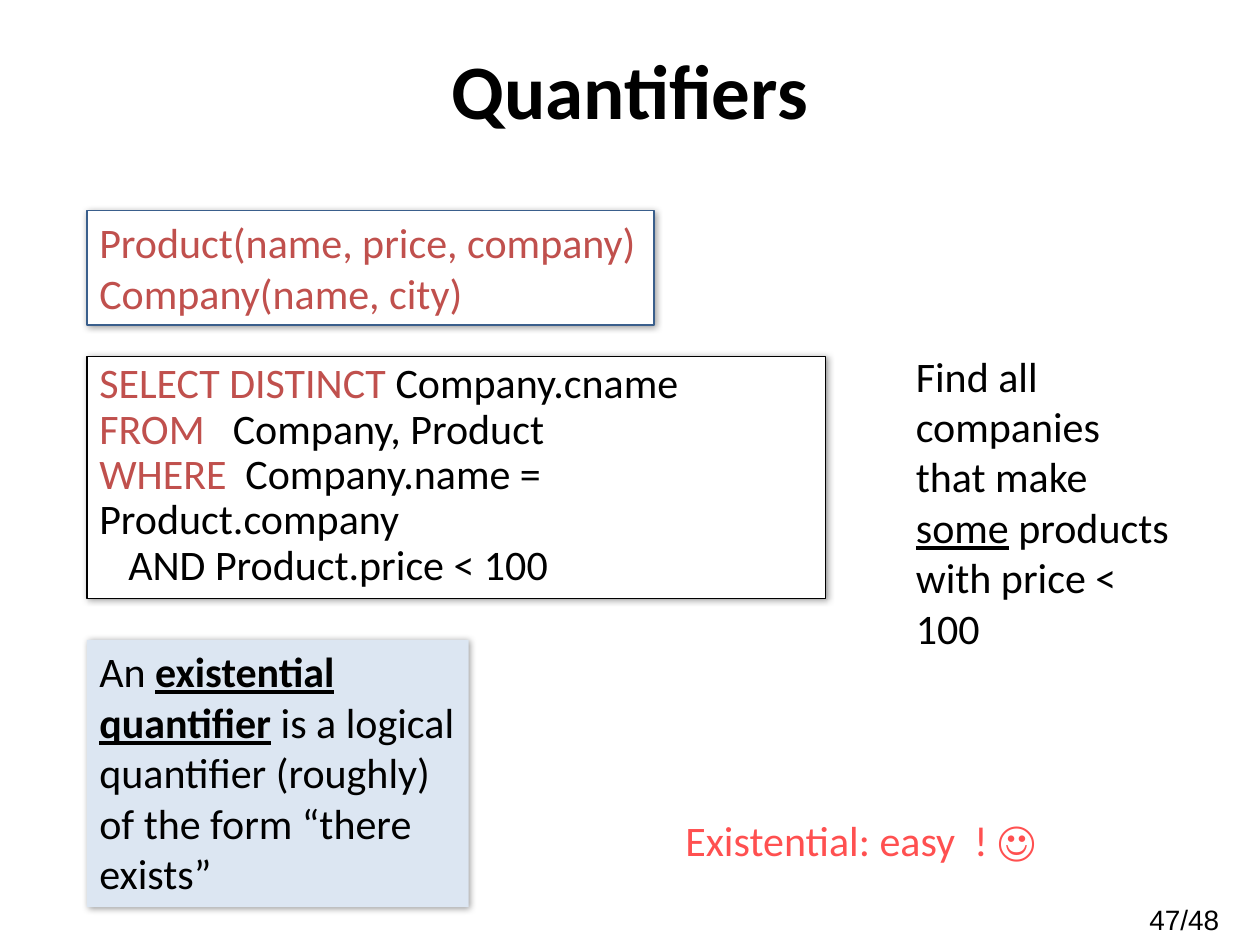
from dataclasses import dataclass
from typing import Optional

from lxml.etree import SubElement
from pptx import Presentation
from pptx.dml.color import RGBColor
from pptx.enum.shapes import MSO_SHAPE as Shape
from pptx.enum.text import MSO_ANCHOR as Anchor, MSO_AUTO_SIZE as AutoSize, PP_ALIGN as Align
from pptx.oxml.ns import qn
from pptx.util import Inches, Pt

WIDTH, HEIGHT = 10, 7.5
LEFT = 0.069
BLACK, WHITE, RED, CORAL = "000000", "FFFFFF", "C0504D", "FF5050"
BLUE, PALE = "3A5F8C", "DCE6F2"


@dataclass
class Span:
    text: str
    color: str = BLACK
    bold: bool = False
    underline: bool = False


@dataclass
class Line:
    spans: list[Span]
    tab: float = 0
    indent: float = 0


@dataclass
class Block:
    x: float
    y: float
    w: float
    h: float
    lines: list[Line]
    fill: Optional[str] = None
    border: Optional[str] = None
    wrap: bool = True
    spacing: float = 1
    font: str = "Calibri"
    size: int = 24
    align: Align = Align.LEFT
    grow: bool = True


def rgb(color: str) -> RGBColor:
    return RGBColor.from_string(color)


def place(sp, x: float, y: float, w: float, h: float) -> None:
    sp.left, sp.width = Inches(x * WIDTH), Inches(w * WIDTH)
    sp.top, sp.height = Inches(y * HEIGHT), Inches(h * HEIGHT)


def format_run(r, font: str, size: int, span: Span) -> None:
    r.font.name, r.font.size = font, Pt(size)
    r.font.bold, r.font.underline = span.bold, span.underline
    r.font.color.rgb = rgb(span.color)


def add_shadow(sp) -> None:
    effects = SubElement(sp._element.spPr, qn("a:effectLst"))
    shadow = SubElement(effects, qn("a:outerShdw"), blurRad=str(Pt(4)),
                        dist=str(Pt(1)), dir=str(45 * 60000), rotWithShape="0")
    color = SubElement(shadow, qn("a:srgbClr"), val=BLACK)
    SubElement(color, qn("a:alpha"), val="40000")


def add_line(p, line: Line, block: Block) -> None:
    p.alignment, p.line_spacing = block.align, block.spacing
    pPr = p._p.get_or_add_pPr()
    if line.indent:
        pPr.set("marL", str(Inches(line.indent)))
        pPr.set("indent", "0")
    if line.tab:
        tabs = SubElement(pPr, qn("a:tabLst"))
        SubElement(tabs, qn("a:tab"), pos=str(Inches(line.tab)), algn="l")
    for span in line.spans:
        r = p.add_run()
        r.text = span.text
        format_run(r, block.font, block.size, span)


def add_block(s, block: Block) -> None:
    if block.fill:
        sp = s.shapes.add_shape(Shape.RECTANGLE, 0, 0, 0, 0)
        sp.fill.solid()
        sp.fill.fore_color.rgb = rgb(block.fill)
        if block.border:
            sp.line.color.rgb = rgb(block.border)
            sp.line.width = Pt(0.75)
        else:
            sp.line.fill.background()
        add_shadow(sp)
    else:
        sp = s.shapes.add_textbox(0, 0, 0, 0)
    place(sp, block.x, block.y, block.w, block.h)
    tf = sp.text_frame
    tf.word_wrap = block.wrap
    tf.auto_size = AutoSize.SHAPE_TO_FIT_TEXT if block.grow else AutoSize.NONE
    tf.vertical_anchor = Anchor.TOP
    for i, line in enumerate(block.lines):
        add_line(tf.add_paragraph() if i else tf.paragraphs[0], line, block)


def add_title(s, text: str) -> None:
    sp = s.shapes.title
    place(sp, 0.05, 0.01, 0.9, 0.167)
    tf = sp.text_frame
    tf.text = text
    tf.vertical_anchor = Anchor.MIDDLE
    p = tf.paragraphs[0]
    p.alignment = Align.CENTER
    format_run(p.runs[0], "Calibri", 44, Span(text, bold=True))


SCHEMA = [Line([Span("Product(name, price, company)", RED)]),
          Line([Span("Company(name, city)", RED)])]
QUESTION = [Line([Span("Find all companies that make "), Span("some", underline=True),
                  Span(" products with price < 100")])]
QUERY = [Line([Span("SELECT DISTINCT ", RED), Span("Company.cname")]),
         Line([Span("FROM", RED), Span("\tCompany, Product")], tab=1.06),
         Line([Span("WHERE", RED), Span("\tCompany.name = Product.company")], tab=1.16),
         Line([Span("AND Product.price < 100")], indent=0.23)]
VERDICT = [Line([Span("Existential: easy  ! ☺", CORAL)])]
DEFINITION = [Line([Span("An "), Span("existential quantifier", bold=True, underline=True),
                    Span(" is a logical quantifier (roughly) of the form “there exists”")])]

BLOCKS = [
    Block(LEFT, 0.223, 0.45, 0.121, SCHEMA, WHITE, BLUE, wrap=False),
    Block(0.717, 0.364, 0.225, 0.336, QUESTION),
    Block(LEFT, 0.377, 0.586, 0.256, QUERY, WHITE, BLACK, spacing=0.9),
    Block(0.534, 0.855, 0.299, 0.067, VERDICT, wrap=False),
    Block(LEFT, 0.677, 0.303, 0.283, DEFINITION, PALE),
    Block(0.885, 0.948, 0.116, 0.052, [Line([Span("47/48 ")])], font="Arial", size=16,
          align=Align.CENTER, grow=False),
]


def main() -> None:
    prs = Presentation()
    prs.slide_width, prs.slide_height = Inches(WIDTH), Inches(HEIGHT)
    s = prs.slides.add_slide(prs.slide_layouts[5])
    add_title(s, "Quantifiers")
    for block in BLOCKS:
        add_block(s, block)
    prs.save("out.pptx")


if __name__ == "__main__":
    main()
